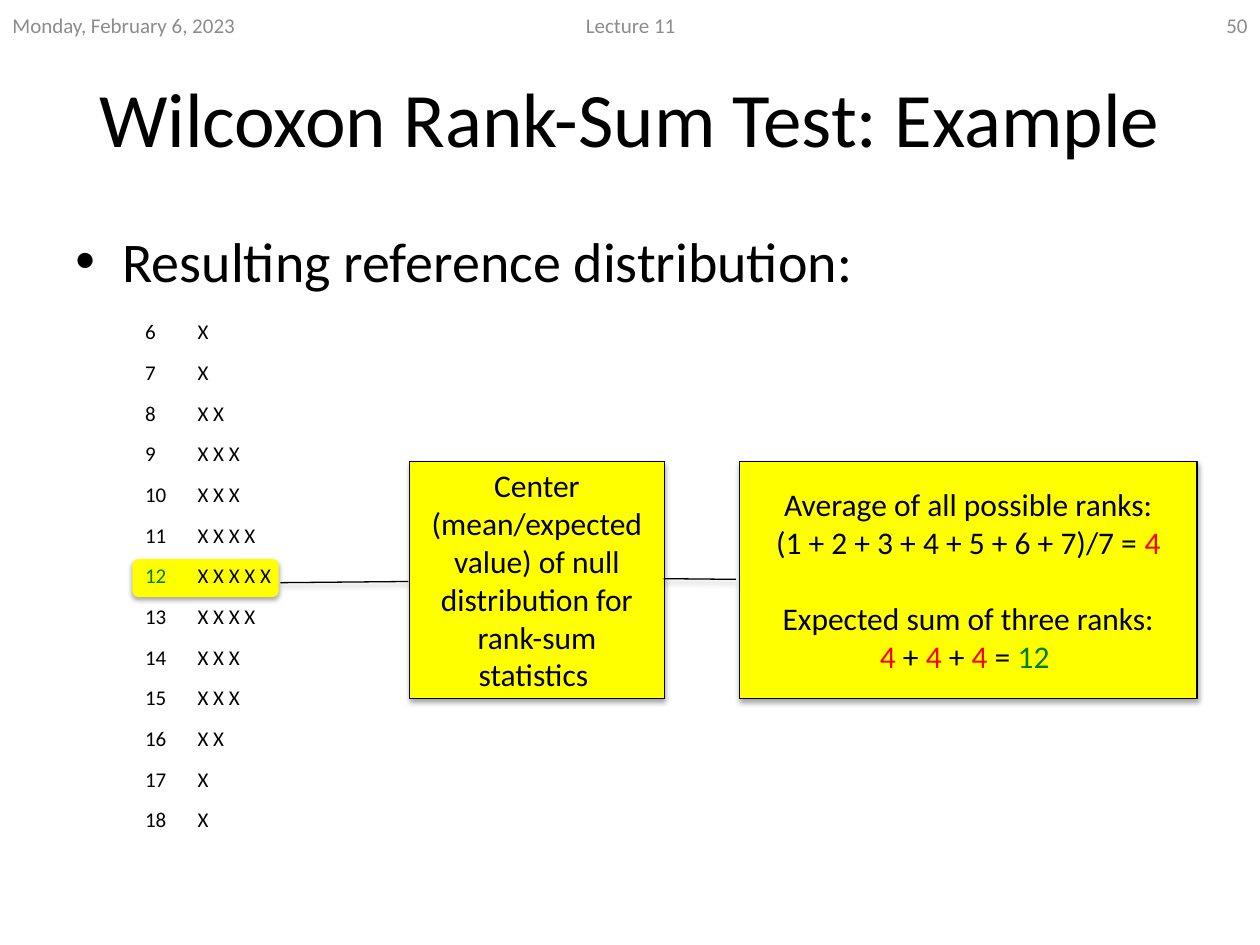
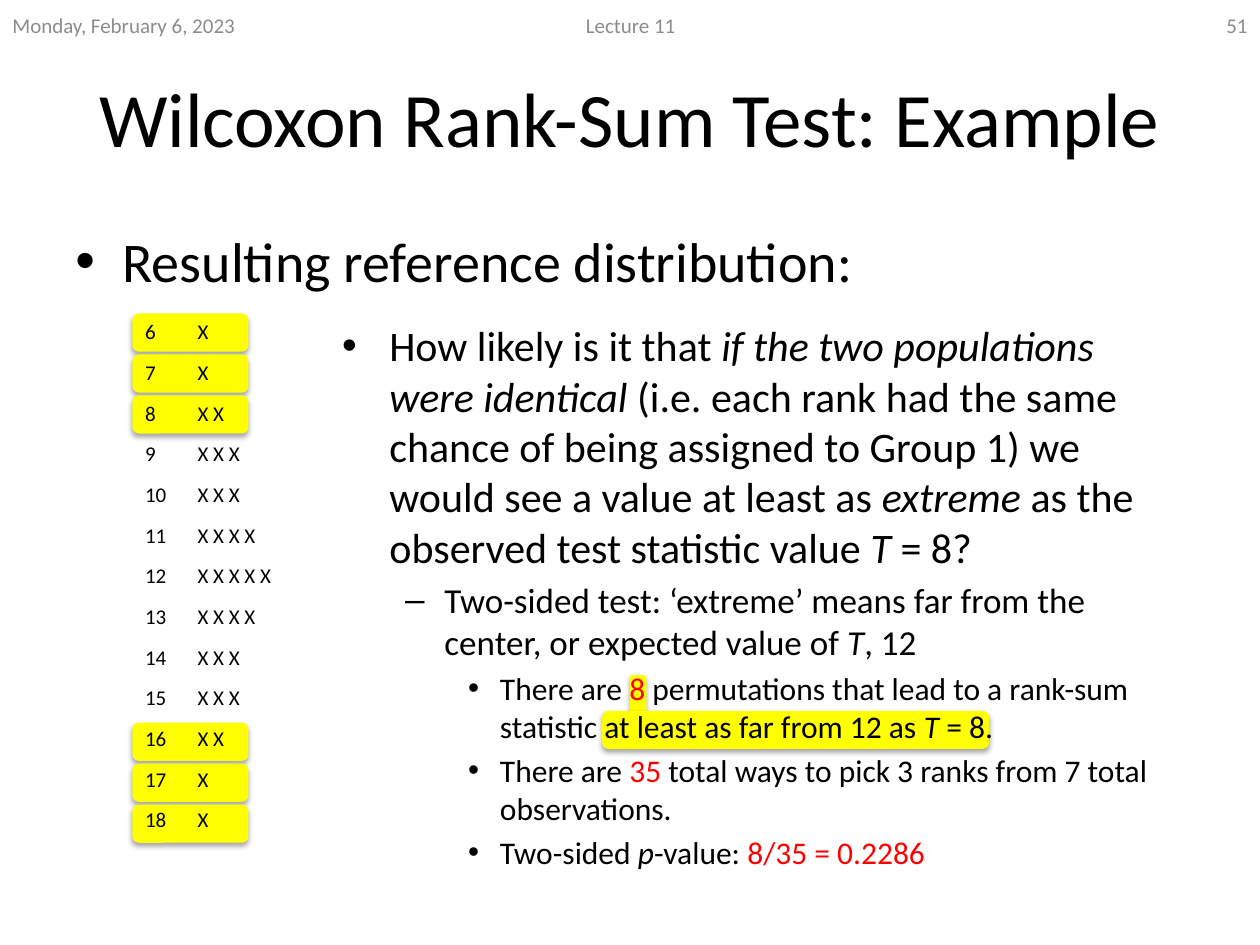
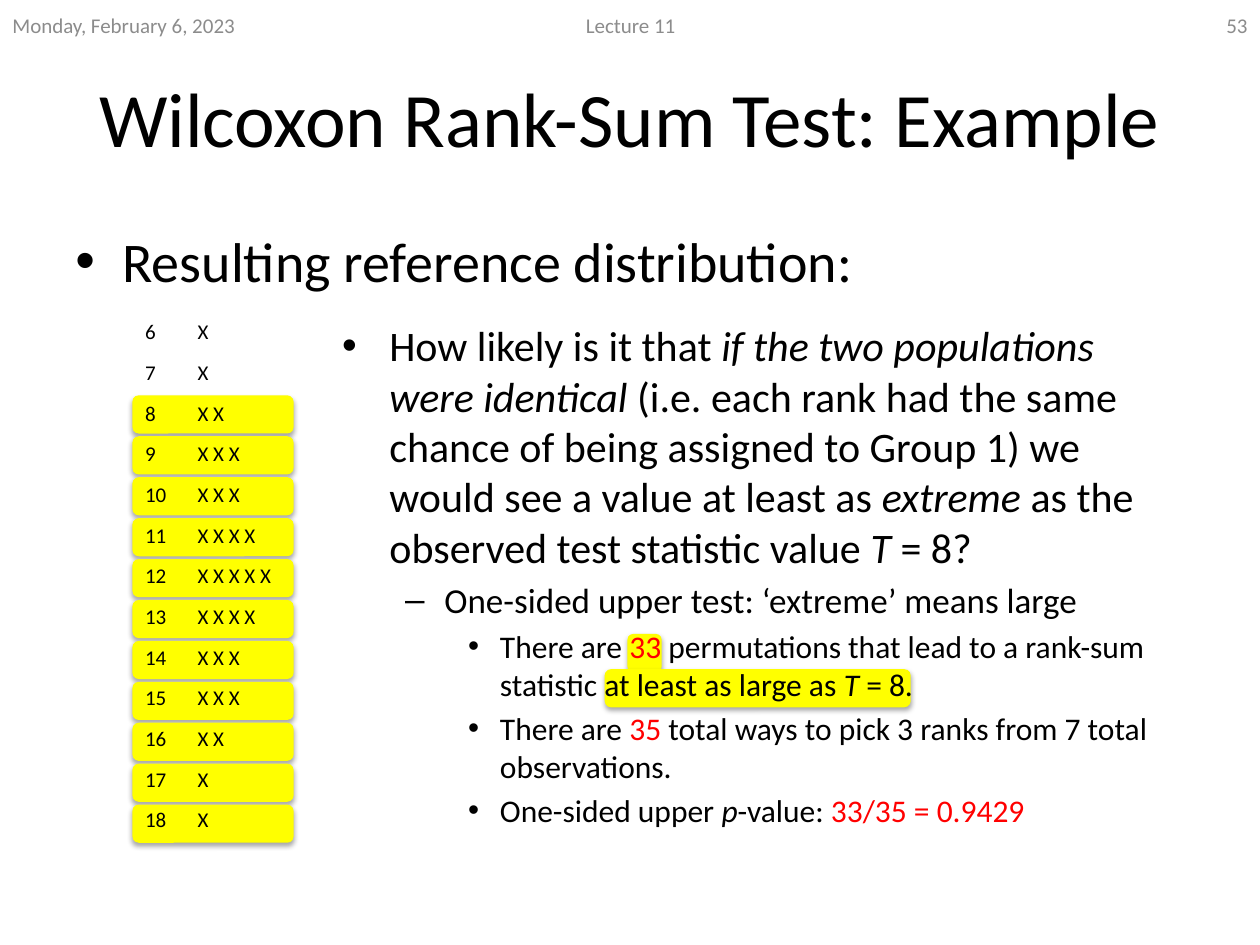
from lxml import etree
from pptx import Presentation
from pptx.dml.color import RGBColor
from pptx.enum.shapes import MSO_SHAPE
from pptx.enum.text import MSO_ANCHOR, PP_ALIGN
from pptx.oxml.ns import qn
from pptx.util import Cm, Pt

ROUNDED = MSO_SHAPE.ROUNDED_RECTANGLE
CALLOUT = MSO_SHAPE.LINE_CALLOUT_1
MIDDLE = MSO_ANCHOR.MIDDLE
LEFT, CENTER, RIGHT = PP_ALIGN.LEFT, PP_ALIGN.CENTER, PP_ALIGN.RIGHT

FONT = "Calibri"
COLORS = {"black": "000000", "yellow": "FFFF00", "red": "FF0000",
          "green": "008000", "gray": "8C8C8C"}
NO_GRID_STYLE = "{2D5ABB26-0587-4C30-8999-92F81FD0307C}"

# Per outline level: bullet, left margin, hanging indent (cm), text size
LEVELS = [("•", 0.95, 0.95, 24), ("–", 2.06, 0.79, 20), ("•", 3.18, 0.64, 18)]

TABLE_LEFT, TABLE_TOP, ROW_HEIGHT = 2.67, 6.32, 0.82
MARK_HEIGHT, LAST_MARK_OFFSET = 0.77, 9.9
FIRST_SUM = 6
COUNTS = [1, 1, 2, 3, 3, 4, 5, 4, 3, 3, 2, 1, 1]

QUESTION = ["How likely is it that ",
            ("if the two populations were identical ", "italic"),
            "(i.e. each rank had the same chance of being assigned to Group 1) "
            "we would see a value at least as ",
            ("extreme", "italic"), " as the observed test statistic value ",
            ("T", "italic"), " = 8?"]
TOTAL_WAYS = ["There are ", ("35", "red"),
              " total ways to pick 3 ranks from 7 total observations."]

# Callouts: left, width (cm), pointer adjustments, paragraphs
CALLOUTS = [
    (8.26, 5.13, (0.507, -0.005, 0.512, -0.508),
     [["Center (mean/expected value) of null distribution for rank-sum statistics "]]),
    (14.91, 9.22, (0.498, -0.008, 0.495, -0.166),
     [["Average of all possible ranks:"],
      ["(1 + 2 + 3 + 4 + 5 + 6 + 7)/7 = ", ("4", "red")],
      ["Expected sum of three ranks:"],
      [("4", "red"), " + ", ("4", "red"), " + ", ("4", "red"), " = ", ("12 ", "green")]]),
]

# Marks in the text: left, top, width (cm)
SLIDES = [
    {"number": "50", "marked": [12], "mark_width": 2.95, "green_sum": 12,
     "callouts": CALLOUTS, "text_marks": [], "points": []},
    {"number": "51", "marked": [6, 7, 8, 16, 17, 18], "mark_width": 2.34,
     "green_sum": None, "callouts": [],
     "text_marks": [(12.7, 13.61, 0.33), (12.14, 14.33, 7.8)],
     "points": [
         (0, QUESTION),
         (1, ["Two-sided test: ‘extreme’ means far from the center, or expected value of ",
              ("T", "italic"), ", 12"]),
         (2, ["There are ", ("8", "red"),
              " permutations that lead to a rank-sum statistic at least as far from 12 as ",
              ("T ", "italic"), "= 8."]),
         (2, TOTAL_WAYS),
         (2, ["Two-sided ", ("p", "italic"), "-value: ", ("8/35 = 0.2286", "red")])]},
    {"number": "53", "marked": range(8, 19), "mark_width": 3.25,
     "green_sum": None, "callouts": [],
     "text_marks": [(12.65, 12.78, 0.69), (12.19, 13.49, 6.17)],
     "points": [
         (0, QUESTION),
         (1, ["One-sided upper test: ‘extreme’ means large"]),
         (2, ["There are ", ("33", "red"),
              " permutations that lead to a rank-sum statistic at least as large as ",
              ("T ", "italic"), "= 8."]),
         (2, TOTAL_WAYS),
         (2, ["One-sided upper ", ("p", "italic"), "-value: ", ("33/35 = 0.9429", "red")])]},
]


def write_para(frame, spans, size, color="black", align=LEFT, level=None):
    """Add a paragraph of plain strings and (text, style) pairs, bulleted if a level is given."""
    para = frame.paragraphs[0]
    if para.runs:
        para = frame.add_paragraph()
        if level is not None:
            para.space_before = Pt(round(size * 0.2, 1))
    if level is not None:
        bullet, margin, hanging, _ = LEVELS[level]
        para.level = level
        properties = para._p.get_or_add_pPr()
        properties.set("marL", str(Cm(margin)))
        properties.set("indent", str(-Cm(hanging)))
        etree.SubElement(properties, qn("a:buFont"), typeface="Arial")
        etree.SubElement(properties, qn("a:buChar"), char=bullet)
    para.alignment = align
    para.font.name = FONT
    para.font.size = Pt(size)
    para.font.color.rgb = RGBColor.from_string(COLORS[color])
    for item in spans:
        text, style = (item, None) if isinstance(item, str) else item
        span = para.add_run()
        span.text = text
        if style == "italic":
            span.font.italic = True
        elif style:
            span.font.color.rgb = RGBColor.from_string(COLORS[style])
    return para


def add_yellow_shape(page, kind, left, top, width, height):
    shape = page.shapes.add_shape(kind, Cm(left), Cm(top), Cm(width), Cm(height))
    shape.fill.solid()
    shape.fill.fore_color.rgb = RGBColor.from_string(COLORS["yellow"])
    shape.line.fill.background()
    shape.shadow.inherit = False
    effects = shape._element.spPr.find(qn("a:effectLst"))
    shadow = etree.SubElement(effects, qn("a:outerShdw"), blurRad=str(Pt(3.1)),
                              dist=str(Pt(1.8)), dir="5400000", rotWithShape="0")
    shade = etree.SubElement(shadow, qn("a:srgbClr"), val=COLORS["black"])
    etree.SubElement(shade, qn("a:alpha"), val="35000")
    return shape


deck = Presentation()
deck.slide_width, deck.slide_height = Cm(25.4), Cm(19.05)

for content in SLIDES:
    page = deck.slides.add_slide(deck.slide_layouts[5])

    title = page.shapes.title
    title.left, title.top, title.width, title.height = Cm(1.27), Cm(0.76), Cm(22.86), Cm(3.18)
    title.text_frame.vertical_anchor = MIDDLE
    write_para(title.text_frame, ["Wilcoxon Rank-Sum Test: Example"], 44, align=CENTER)

    for left, width, text, align in [(0, 5.92, "Monday, February 6, 2023", LEFT),
                                     (8.69, 8.05, "Lecture 11", CENTER),
                                     (19.48, 5.92, content["number"], RIGHT)]:
        header = page.shapes.add_textbox(Cm(left), Cm(0), Cm(width), Cm(1.02)).text_frame
        header.word_wrap = True
        header.vertical_anchor = MIDDLE
        write_para(header, [text], 12, "gray", align)

    heading = page.shapes.add_textbox(Cm(1.27), Cm(4.45), Cm(22.86), Cm(1.88)).text_frame
    heading.word_wrap = True
    write_para(heading, ["Resulting reference distribution:"], 32, level=0)

    for rank_sum in content["marked"]:
        offset = LAST_MARK_OFFSET * (rank_sum - FIRST_SUM) / (len(COUNTS) - 1)
        add_yellow_shape(page, ROUNDED, TABLE_LEFT, TABLE_TOP + offset,
                         content["mark_width"], MARK_HEIGHT)

    table = page.shapes.add_table(len(COUNTS), 2, Cm(TABLE_LEFT), Cm(TABLE_TOP), Cm(8.47),
                                  Cm(ROW_HEIGHT * len(COUNTS))).table
    table.first_row = table.horz_banding = False
    table._tbl.tblPr.find(qn("a:tableStyleId")).text = NO_GRID_STYLE
    table.columns[0].width, table.columns[1].width = Cm(1.06), Cm(7.41)
    for row, count in enumerate(COUNTS):
        table.rows[row].height = Cm(ROW_HEIGHT)
        rank_sum = FIRST_SUM + row
        sum_color = "green" if rank_sum == content["green_sum"] else "black"
        for column, (text, color) in enumerate([(str(rank_sum), sum_color),
                                                (" ".join("X" * count), "black")]):
            cell = table.cell(row, column)
            cell.fill.background()
            write_para(cell.text_frame, [text], 12, color)

    for left, width, pointer, paragraphs in content["callouts"]:
        callout = add_yellow_shape(page, CALLOUT, left, 9.3, width, 4.78)
        callout.line.color.rgb = RGBColor.from_string(COLORS["black"])
        callout.line.width = Pt(0.75)
        for index, value in enumerate(pointer):
            callout.adjustments[index] = value
        callout.text_frame.word_wrap = True
        callout.text_frame.vertical_anchor = MIDDLE
        for index, spans in enumerate(paragraphs):
            para = write_para(callout.text_frame, spans, 18, align=CENTER)
            if index == 2:
                para.space_before = Pt(22)

    for left, top, width in content["text_marks"]:
        add_yellow_shape(page, ROUNDED, left, top, width, MARK_HEIGHT)

    if content["points"]:
        outline = page.shapes.add_textbox(Cm(6.65), Cm(6.32), Cm(17.48), Cm(11.23)).text_frame
        outline.word_wrap = True
        for level, spans in content["points"]:
            write_para(outline, spans, LEVELS[level][3], level=level)

deck.save("out.pptx")
